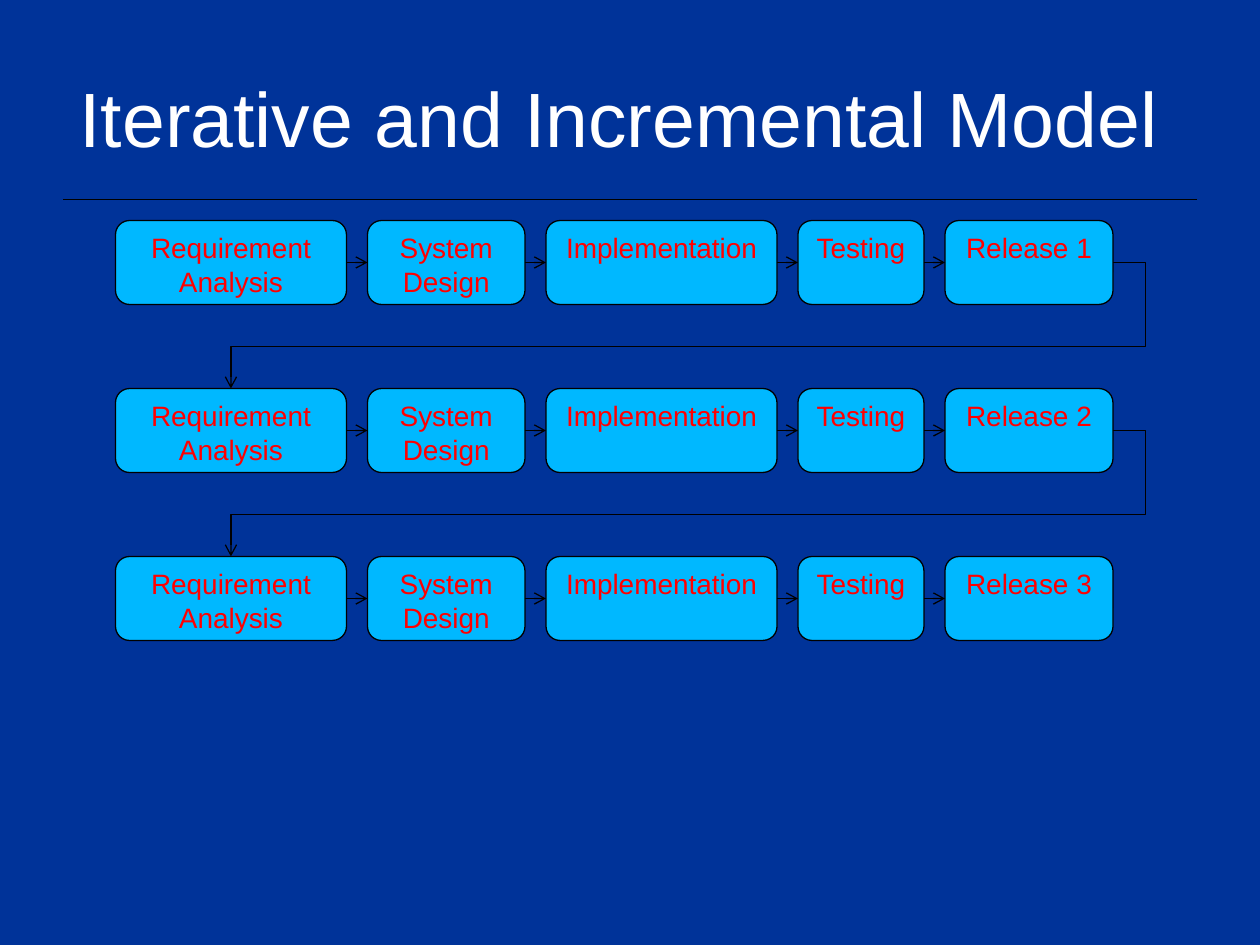
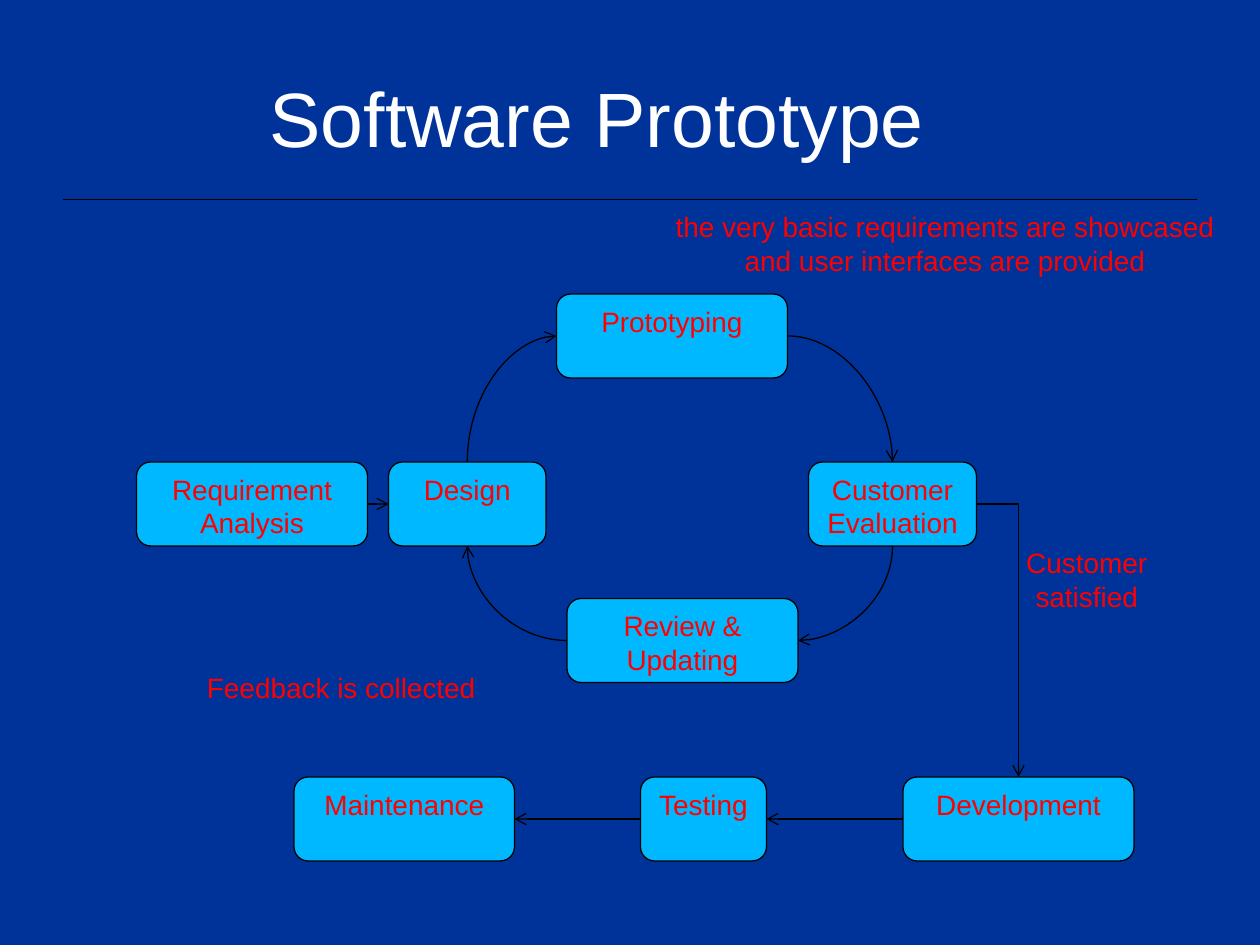
from dataclasses import dataclass

from lxml.etree import SubElement
from pptx import Presentation
from pptx.dml.color import RGBColor
from pptx.enum.shapes import MSO_CONNECTOR as Connector, MSO_SHAPE as Shape
from pptx.enum.text import MSO_ANCHOR as Anchor, PP_ALIGN as Align
from pptx.oxml.ns import qn
from pptx.util import Pt

PX = 7620  # EMU; 120 px to the inch
TOP, LEFT, BOTTOM, RIGHT = range(4)


@dataclass(frozen=True)
class Theme:
    background = RGBColor(0x00, 0x33, 0x99)
    box_fill = RGBColor(0x00, 0xB8, 0xFF)
    line = RGBColor(0x00, 0x00, 0x00)
    title = RGBColor(0xFF, 0xFF, 0xFF)
    label = RGBColor(0xFF, 0x00, 0x00)
    font = "Arial"
    title_size = Pt(44)
    label_size = Pt(16)
    line_width = Pt(0.75)


@dataclass(frozen=True)
class Box:
    left: int
    top: int
    width: int
    height: int

    def inner(self, left, top, width, height):
        return Box(self.left + left, self.top + top, width, height)

    def emu(self):
        return [value * PX for value in (self.left, self.top, self.width, self.height)]


THEME = Theme()
SLIDE = Box(0, 0, 1200, 900)
TITLE = Box(60, 36, 1080, 150)
RULE_TOP = 190
STEP_HEIGHT = 80


def write_text(shape, text, size, color):
    frame = shape.text_frame
    frame.word_wrap = True
    frame.margin_left = frame.margin_right = 12 * PX
    frame.margin_top = frame.margin_bottom = 6 * PX
    paragraph = frame.paragraphs[0]
    paragraph.text = text
    paragraph.alignment = Align.CENTER
    paragraph.font.name = THEME.font
    paragraph.font.size = size
    paragraph.font.color.rgb = color
    return frame


def style_line(connector):
    connector.line.color.rgb = THEME.line
    connector.line.width = THEME.line_width
    SubElement(connector.element.spPr, qn("a:effectLst"))


def add_titled_slide(presentation, title, title_shift):
    """Add a slide with background, rule and a title moved left by title_shift px."""
    slide = presentation.slides.add_slide(presentation.slide_layouts[6])
    slide.background.fill.solid()
    slide.background.fill.fore_color.rgb = THEME.background
    y = RULE_TOP * PX
    style_line(slide.shapes.add_connector(
        Connector.STRAIGHT, TITLE.left * PX, y, (TITLE.left + TITLE.width) * PX, y))
    text_box = slide.shapes.add_textbox(*TITLE.emu())
    frame = write_text(text_box, title, THEME.title_size, THEME.title)
    frame.vertical_anchor = Anchor.MIDDLE
    frame.margin_right += 2 * title_shift * PX
    return slide


def add_label(shapes, box, text):
    shape = shapes.add_shape(Shape.ROUNDED_RECTANGLE, *box.emu())
    shape.shadow.inherit = False
    shape.fill.background()
    shape.line.fill.background()
    frame = write_text(shape, text, THEME.label_size, THEME.label)
    frame.vertical_anchor = Anchor.TOP
    return shape


def add_step(shapes, box, text):
    shape = add_label(shapes, box, text)
    shape.fill.solid()
    shape.fill.fore_color.rgb = THEME.box_fill
    shape.line.color.rgb = THEME.line
    shape.line.width = THEME.line_width
    return shape


def add_arrow(shapes, begin, begin_side, end, end_side, kind=Connector.STRAIGHT):
    connector = shapes.add_connector(kind, 0, 0, 0, 0)
    connector.begin_connect(begin, begin_side)
    connector.end_connect(end, end_side)
    style_line(connector)
    SubElement(connector.line._get_or_add_ln(), qn("a:tailEnd"), type="arrow")
    return connector


def set_preset(connector, preset, **adjustments):
    geometry = connector.element.spPr.prstGeom
    geometry.set("prst", preset)
    guides = geometry.get_or_add_avLst()
    for name, share in adjustments.items():
        SubElement(guides, qn("a:gd"), name=name, fmla=f"val {round(share * 100000)}")


def add_curve(shapes, begin, begin_side, end, end_side):
    """Draw a quarter curve, turned by 90 degrees where it leaves vertically."""
    curve = add_arrow(shapes, begin, begin_side, end, end_side, Connector.CURVE)
    set_preset(curve, "curvedConnector2")
    if begin_side in (TOP, BOTTOM):
        goes_right = curve.end_x > curve.begin_x
        goes_up = curve.end_y < curve.begin_y
        left, top, width, height = curve.left, curve.top, curve.width, curve.height
        curve.left = left + (width - height) // 2
        curve.top = top + (height - width) // 2
        curve.width, curve.height = height, width
        transform = curve.element.spPr.xfrm
        transform.set("rot", str(90 * 60000))
        transform.set("flipH", str(int(goes_up)))
        transform.set("flipV", str(int(goes_right)))


def add_iteration(slide, box, release):
    """Fill one row with grouped steps; return its first and last step."""
    gap = 20
    row = [("Requirement Analysis", 220), ("System Design", 150),
           ("Implementation", 220), ("Testing", 120), (f"Release {release}", 160)]
    shapes = slide.shapes.add_group_shape().shapes
    steps, x = [], 0
    for text, width in row:
        steps.append(add_step(shapes, box.inner(x, 0, width, box.height), text))
        x += width + gap
    for begin, end in zip(steps, steps[1:]):
        add_arrow(shapes, begin, RIGHT, end, LEFT)
    return steps[0], steps[-1]


def add_iterations(slide, box):
    pitch, overshoot = 160, 31
    rows = [add_iteration(slide, box.inner(0, index * pitch, box.width, STEP_HEIGHT), index + 1)
            for index in range(3)]
    for (_, release), (analysis, _) in zip(rows, rows[1:]):
        bend = add_arrow(slide.shapes, release, RIGHT, analysis, TOP, Connector.ELBOW)
        set_preset(bend, "bentConnector4",
                   adj1=-overshoot * PX / bend.width, adj2=2 / 3)


def add_prototype_cycle(slide, box):
    shapes = slide.shapes

    def step(text, left, top, width):
        return add_step(shapes, box.inner(left, top, width, STEP_HEIGHT), text)

    middle, bottom = 250, 550
    analysis = step("Requirement Analysis", 0, middle, 220)
    design = step("Design", 240, middle, 150)
    prototyping = step("Prototyping", 400, 90, 220)
    evaluation = step("Customer Evaluation", 640, middle, 160)
    review = step("Review & Updating", 410, 380, 220)
    development = step("Development", 730, bottom, 220)
    testing = step("Testing", 480, bottom, 120)
    maintenance = step("Maintenance", 150, bottom, 210)

    add_arrow(shapes, analysis, RIGHT, design, LEFT)
    add_curve(shapes, design, TOP, prototyping, LEFT)
    add_curve(shapes, prototyping, RIGHT, evaluation, TOP)
    add_curve(shapes, evaluation, BOTTOM, review, RIGHT)
    add_curve(shapes, review, LEFT, design, BOTTOM)
    bend = add_arrow(shapes, evaluation, RIGHT, development, TOP, Connector.ELBOW)
    set_preset(bend, "bentConnector2")
    add_arrow(shapes, development, LEFT, testing, RIGHT)
    add_arrow(shapes, testing, LEFT, maintenance, RIGHT)

    add_label(shapes, box.inner(490, 0, 560, 80),
              "the very basic requirements are showcased and user interfaces are provided")
    add_label(shapes, box.inner(10, 440, 370, 60), "Feedback is collected")
    add_label(shapes, box.inner(800, 320, 210, 80), "Customer satisfied")


def main():
    presentation = Presentation()
    presentation.slide_width = SLIDE.width * PX
    presentation.slide_height = SLIDE.height * PX
    slide = add_titled_slide(presentation, "Iterative and Incremental Model", 10)
    add_iterations(slide, Box(110, 210, 950, 400))
    slide = add_titled_slide(presentation, "Software Prototype", 31)
    add_prototype_cycle(slide, Box(130, 190, 1050, 630))
    presentation.save("out.pptx")


if __name__ == "__main__":
    main()
